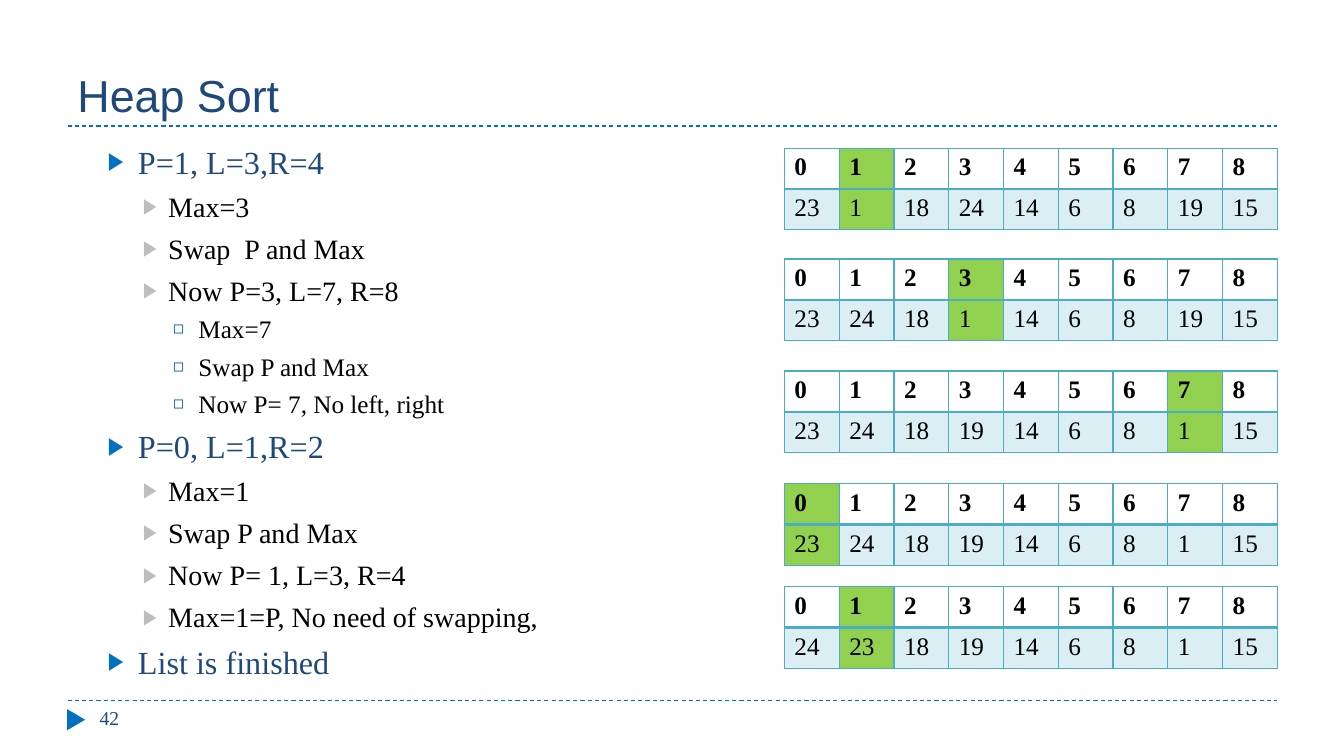
from lxml import etree
from pptx import Presentation
from pptx import util as u
from pptx.dml.color import RGBColor
from pptx.enum import dml, shapes, text
from pptx.oxml.ns import qn

# level: (text indent, hanging, size, colour, space before, bullet, bullet colour, bullet percent)
LEVELS = {
    1: (0.6, 0.3, 23, "1F497D", 6, "▶", "0070C0", 76),
    2: (0.9, 0.25, 20, "000000", 6, "▶", "BDBDBD", 76),
    3: (1.2, 0.25, 18, "000000", 5, "◻", "0063A9", 70),
}
STEPS = [
    (1, "P=1, L=3,R=4"),
    (2, "Max=3"),
    (2, "Swap  P and Max"),
    (2, "Now P=3, L=7, R=8"),
    (3, "Max=7"),
    (3, "Swap P and Max"),
    (3, "Now P= 7, No left, right"),
    (1, "P=0, L=1,R=2"),
    (2, "Max=1"),
    (2, "Swap P and Max"),
    (2, "Now P= 1, L=3, R=4"),
    (2, "Max=1=P, No need of swapping,"),
    (1, "List is finished"),
]
# top, index of the current parent, heap contents
HEAPS = [
    (1.47, 1, [23, 1, 18, 24, 14, 6, 8, 19, 15]),
    (2.57, 3, [23, 24, 18, 1, 14, 6, 8, 19, 15]),
    (3.68, 7, [23, 24, 18, 19, 14, 6, 8, 1, 15]),
    (4.8, 0, [23, 24, 18, 19, 14, 6, 8, 1, 15]),
    (5.82, 1, [24, 23, 18, 19, 14, 6, 8, 1, 15]),
]


def rgb(hex_colour):
    return RGBColor.from_string(hex_colour)


def sub(parent, tag, **attributes):
    return etree.SubElement(parent, qn(tag), attributes)


class HeapSlide:
    serif, sans = "Times New Roman", "Arial"
    navy, blue, teal, green, black = "1F497D", "0070C0", "4BACC6", "92D050", "000000"

    def __init__(self, deck):
        self.slide = deck.slides.add_slide(deck.slide_layouts[6])

    def rule(self, y):
        line = self.slide.shapes.add_connector(
            shapes.MSO_CONNECTOR.STRAIGHT,
            u.Inches(0.67), u.Inches(y), u.Inches(12.67), u.Inches(y))
        line.line.color.rgb = rgb(self.blue)
        line.line.width = u.Pt(0.75)
        line.line.dash_style = dml.MSO_LINE.DASH
        sub(line._element.spPr, "a:effectLst")

    def page_marker(self, left, top, width, height):
        marker = self.slide.shapes.add_shape(
            shapes.MSO_SHAPE.ISOSCELES_TRIANGLE,
            u.Inches(left), u.Inches(top), u.Inches(width), u.Inches(height))
        marker.rotation = 90
        marker.shadow.inherit = False
        marker.fill.solid()
        marker.fill.fore_color.rgb = rgb(self.blue)
        marker.line.fill.background()

    def frame(self, left, top, width, height, anchor=text.MSO_ANCHOR.TOP):
        box = self.slide.shapes.add_textbox(
            u.Inches(left), u.Inches(top), u.Inches(width), u.Inches(height))
        box.text_frame.word_wrap = True
        box.text_frame.vertical_anchor = anchor
        return box.text_frame

    def add_words(self, paragraph, words, size, colour, font=serif, bold=False):
        run = paragraph.add_run()
        run.text = words
        run.font.size = u.Pt(size)
        run.font.name = font
        run.font.bold = bold
        run.font.color.rgb = rgb(colour)

    def outline(self, steps, left, top, width, height):
        body = self.frame(left, top, width, height)
        for i, (level, words) in enumerate(steps):
            indent, hanging, size, colour, before, bullet, bullet_colour, percent = LEVELS[level]
            paragraph = body.add_paragraph() if i else body.paragraphs[0]
            paragraph.level = level - 1
            props = paragraph._p.get_or_add_pPr()
            props.set("marL", str(u.Inches(indent)))
            props.set("indent", str(-u.Inches(hanging)))
            sub(sub(props, "a:buClr"), "a:srgbClr", val=bullet_colour)
            sub(props, "a:buSzPct", val=str(percent * 1000))
            sub(props, "a:buFont", typeface=self.sans)
            sub(props, "a:buChar", char=bullet)
            if i:
                paragraph.space_before = u.Pt(before)
            self.add_words(paragraph, words, size, colour)

    def cell_borders(self, cell, bottom):
        """Outline a cell at 1 pt, with its own bottom width."""
        props = cell._tc.get_or_add_tcPr()
        for i, (side, width) in enumerate(zip("LRTB", (1, 1, 1, bottom))):
            edge = etree.Element(qn("a:ln" + side), w=str(u.Pt(width)))
            sub(sub(edge, "a:solidFill"), "a:srgbClr", val=self.teal)
            props.insert(i, edge)

    def cell_fill(self, cell, colour, opacity=100):
        cell.fill.solid()
        cell.fill.fore_color.rgb = rgb(colour)
        if opacity < 100:
            tint = cell._tc.tcPr.find(".//" + qn("a:srgbClr"))
            sub(tint, "a:alpha", val=str(opacity * 1000))

    def heap(self, top, parent, values):
        """Draw a heap as indices over values, with the parent column marked."""
        table = self.slide.shapes.add_table(
            2, len(values), u.Inches(7.78), u.Inches(top),
            u.Inches(4.89), u.Inches(0.81)).table
        table.first_row = table.horz_banding = False
        for r, numbers in enumerate((range(len(values)), values)):
            for c, number in enumerate(numbers):
                cell = table.cell(r, c)
                if c == parent:
                    self.cell_fill(cell, self.green)
                elif r:
                    self.cell_fill(cell, self.teal, 20)
                else:
                    cell.fill.background()
                self.cell_borders(cell, 1 if r else 2)
                self.add_words(cell.text_frame.paragraphs[0], str(number), 18,
                               self.black, bold=not r)


def main():
    deck = Presentation()
    deck.slide_width, deck.slide_height = u.Inches(13.33), u.Inches(7.5)
    page = HeapSlide(deck)
    for y in (6.95, 1.25):
        page.rule(y)
    page.page_marker(0.65, 7.05, 0.21, 0.18)
    title = page.frame(0.67, 0.17, 12, 1.08, text.MSO_ANCHOR.BOTTOM)
    page.add_words(title.paragraphs[0], "Heap Sort", 32, page.navy, page.sans)
    number = page.frame(0.89, 6.95, 2.89, 0.4)
    page.add_words(number.paragraphs[0], "42", 14, page.navy)
    page.outline(STEPS, 0.67, 1.36, 12, 5.4)
    for top, parent, values in HEAPS:
        page.heap(top, parent, values)
    deck.save("out.pptx")


if __name__ == "__main__":
    main()
